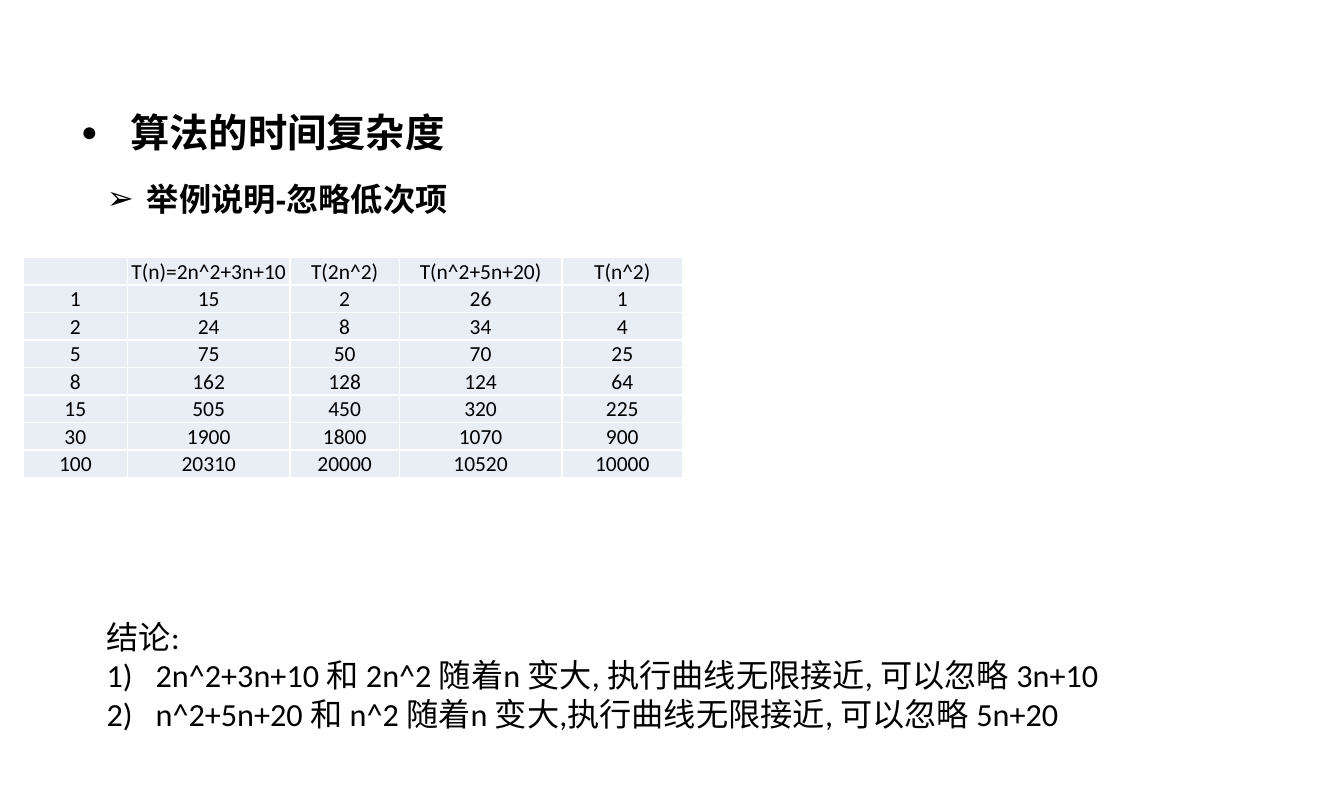
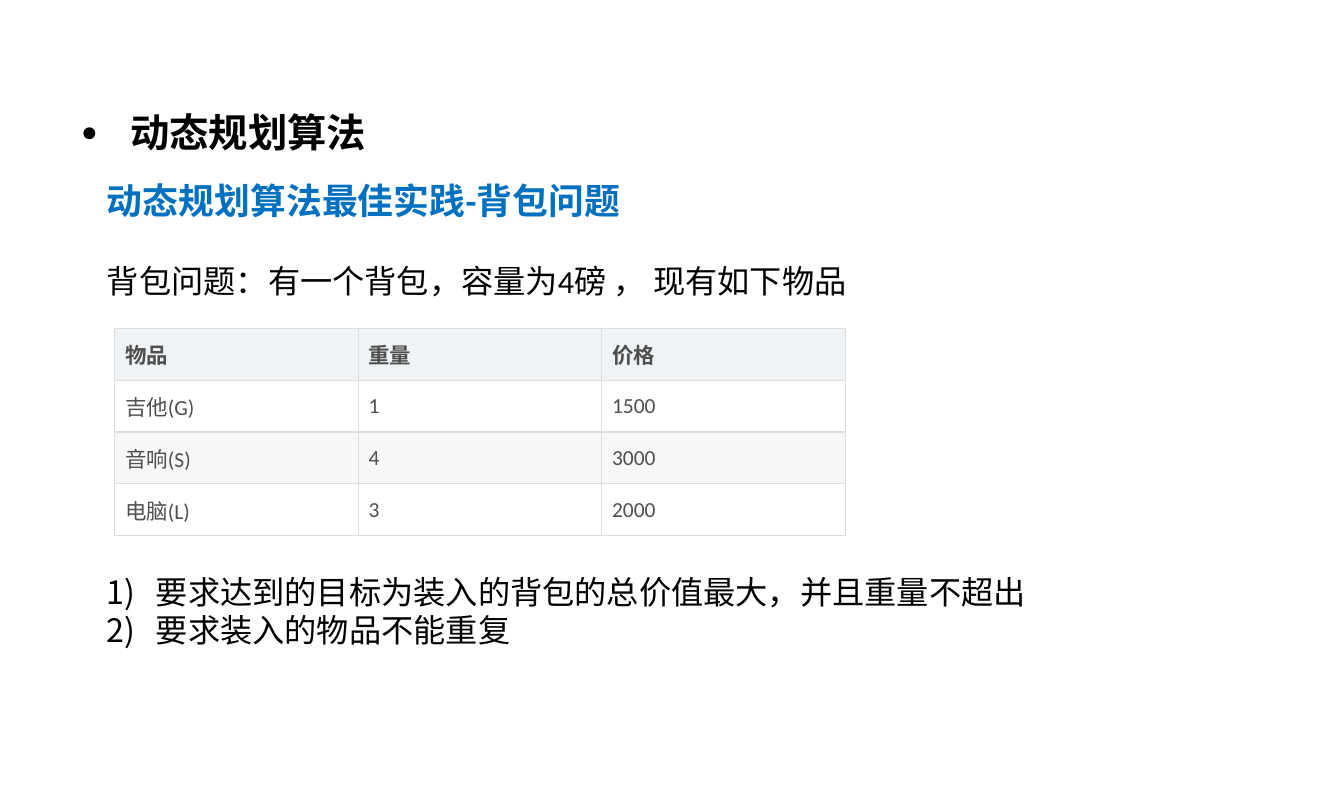
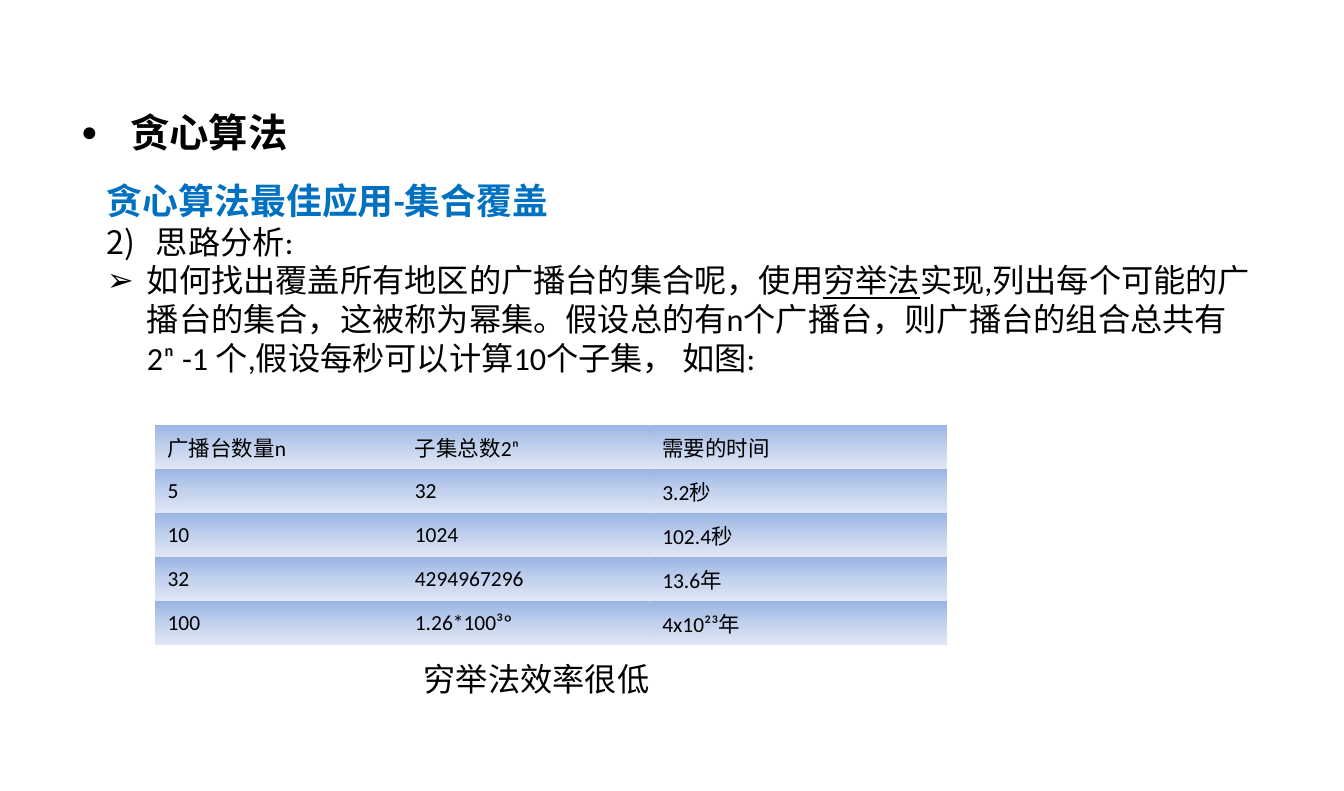
"""Build three slides on algorithms: time complexity, dynamic programming and greedy choice."""
from lxml import etree
from pptx import Presentation
from pptx.dml.color import RGBColor
from pptx.enum.lang import MSO_LANGUAGE_ID
from pptx.enum.text import MSO_ANCHOR, MSO_AUTO_SIZE, PP_ALIGN
from pptx.oxml.ns import qn
from pptx.util import Inches, Pt

LEFT, CENTER = PP_ALIGN.LEFT, PP_ALIGN.CENTER
TOP, MIDDLE = MSO_ANCHOR.TOP, MSO_ANCHOR.MIDDLE
NO_FIT = MSO_AUTO_SIZE.NONE
CHINESE = MSO_LANGUAGE_ID.SIMPLIFIED_CHINESE

BLACK = RGBColor(0, 0, 0)
WHITE = RGBColor(0xFF, 0xFF, 0xFF)
BLUE = RGBColor(0x00, 0x70, 0xC0)
GRAY_TEXT = RGBColor(0x4F, 0x4F, 0x4F)
GRAY_LINE = RGBColor(0xDD, 0xDD, 0xDD)
PALE_BLUE = RGBColor(0xE9, 0xED, 0xF4)
HEADER_GRAY = RGBColor(0xEF, 0xF3, 0xF5)
BAND_GRAY = RGBColor(0xF7, 0xF7, 0xF7)
GRADIENT = [(0, RGBColor(0x9A, 0xB5, 0xE4)), (50, RGBColor(0xC2, 0xD1, 0xED)),
            (100, RGBColor(0xE1, 0xE8, 0xF5))]

SLIDE_SIZE = (10.43, 6.14)
TITLE_AT = (0.53, 0.83, 8.3, 0.43)
BODY_LEFT, BODY_TOP = 0.73, 1.34
NO_STYLE = "{2D5ABB26-0587-4C30-8999-92F81FD0307C}"

DOT = dict(char="●", indent=0.38, percent=70)
ARROW = dict(char="➢", indent=0.31)
NUMBER = dict(start=1, indent=0.38)
SECOND = dict(start=2, indent=0.38)
HEADING = dict(size=20, bold=True, color=BLUE)

SLIDES = [
    dict(
        title="算法的时间复杂度",
        body=dict(size=(8.9, 1.31), lines=[
            ("举例说明-忽略低次项", dict(bullet=ARROW, bold=True, font="Arial"))]),
        note=dict(at=(BODY_LEFT, 4.74, 8.9, 1.01), lines=[
            ("结论:", {}),
            ("2n^2+3n+10 和 2n^2 随着n 变大, 执行曲线无限接近, 可以忽略 3n+10", dict(bullet=NUMBER)),
            ("n^2+5n+20 和 n^2 随着n 变大,执行曲线无限接近, 可以忽略 5n+20", dict(bullet=NUMBER))]),
        table=dict(
            at=(0.18, 2), columns=(0.81, 1.26, 0.85, 1.26, 0.94), row_height=0.21,
            margins=(0.01, 0.01, 0.01, 0), fills=[PALE_BLUE], border=(WHITE, 1),
            text=dict(align=CENTER),
            rows=[("", "T(n)=2n^2+3n+10", "T(2n^2)", "T(n^2+5n+20)", "T(n^2)"),
                  (1, 15, 2, 26, 1),
                  (2, 24, 8, 34, 4),
                  (5, 75, 50, 70, 25),
                  (8, 162, 128, 124, 64),
                  (15, 505, 450, 320, 225),
                  (30, 1900, 1800, 1070, 900),
                  (100, 20310, 20000, 10520, 10000)])),
    dict(
        title="动态规划算法",
        body=dict(size=(9.21, 4.07), lines=[
            ("动态规划算法最佳实践-背包问题", HEADING),
            ("背包问题：有一个背包，容量为4磅 ， 现有如下物品", dict(before=22)),
            ("要求达到的目标为装入的背包的总价值最大，并且重量不超出", dict(bullet=NUMBER, before=152)),
            ("要求装入的物品不能重复", dict(bullet=NUMBER))]),
        table=dict(
            at=(0.89, 2.55), columns=(1.89,) * 3, row_height=0.37,
            margins=(0.08,) * 4, fills=[HEADER_GRAY, WHITE, BAND_GRAY, WHITE],
            border=(GRAY_LINE, 0.75), text=dict(color=GRAY_TEXT), header=dict(bold=True),
            rows=[("物品", "重量", "价格"),
                  ("吉他(G)", 1, 1500),
                  ("音响(S)", 4, 3000),
                  ("电脑(L)", 3, 2000)])),
    dict(
        title="贪心算法",
        body=dict(size=(9.21, 3.77), lines=[
            ("贪心算法最佳应用-集合覆盖", HEADING),
            ("思路分析:", dict(bullet=SECOND)),
            ("如何找出覆盖所有地区的广播台的集合呢，使用_穷举法_实现,列出每个可能的广播台的集合，"
             "这被称为幂集。假设总的有n个广播台，则广播台的组合总共有\n"
             "2ⁿ -1 个,假设每秒可以计算10个子集， 如图:", dict(bullet=ARROW))]),
        table=dict(
            at=(1.2, 3.3), columns=(1.92, 1.92, 2.31), row_height=0.3,
            margins=(0.1, 0.05, 0.1, 0.05), fills=[GRADIENT], text={},
            rows=[("广播台数量n", "子集总数2ⁿ", "需要的时间"),
                  (5, 32, "3.2秒"),
                  (10, 1024, "102.4秒"),
                  (32, 4294967296, "13.6年"),
                  (100, "1.26*100³º", "4x10²³年")]),
        note=dict(at=(3.19, 5.07, 2.34, 0.4), lines=[("穷举法效率很低", {})])),
]


def add_child(parent, tag, **attributes):
    return etree.SubElement(parent, qn(tag), {key: str(value) for key, value in attributes.items()})


def set_bullet(paragraph, bullet):
    properties = paragraph._p.get_or_add_pPr()
    indent = Inches(bullet["indent"]) if bullet else 0
    properties.set("marL", str(indent))
    properties.set("indent", str(-indent))
    if not bullet:
        add_child(properties, "a:buNone")
    elif "start" in bullet:
        add_child(properties, "a:buFont", typeface="+mj-lt")
        add_child(properties, "a:buAutoNum", type="arabicParenR", startAt=bullet["start"])
    else:
        add_child(properties, "a:buSzPct", val=bullet.get("percent", 100) * 1000)
        add_child(properties, "a:buFont", typeface="Arial")
        add_child(properties, "a:buChar", char=bullet["char"])


def write(paragraph, text, size=18, font="Calibri", color=BLACK, bold=False, align=LEFT,
          bullet=None, before=0, spacing=1.0):
    """Fill a paragraph; text between underscores is underlined."""
    set_bullet(paragraph, bullet)
    paragraph.alignment = align
    paragraph.space_before = Pt(before)
    paragraph.line_spacing = spacing
    for index, part in enumerate(text.split("_")):
        for line_index, line in enumerate(part.split("\n")):
            if line_index:
                paragraph.add_line_break()
            if not line:
                continue
            span = paragraph.add_run()
            span.text = line
            span.font.size = Pt(size)
            span.font.name = font
            span.font.bold = bold
            span.font.color.rgb = color
            span.font.underline = index % 2 == 1
            span.font.language_id = CHINESE
    add_child(paragraph._p, "a:endParaRPr", sz=size * 100)


def fill_box(box, at, lines):
    box.left, box.top, box.width, box.height = map(Inches, at)
    frame = box.text_frame
    frame.word_wrap = True
    frame.auto_size = NO_FIT
    frame.vertical_anchor = TOP
    for index, (text, style) in enumerate(lines):
        paragraph = frame.add_paragraph() if index else frame.paragraphs[0]
        write(paragraph, text, **style)


def paint_cell(cell, fill, border):
    properties = cell._tc.get_or_add_tcPr()
    if border:
        color, width = border
        for tag in ("a:lnL", "a:lnR", "a:lnT", "a:lnB"):
            line = add_child(properties, tag, w=Pt(width))
            add_child(add_child(line, "a:solidFill"), "a:srgbClr", val=color)
    if isinstance(fill, list):
        gradient = add_child(properties, "a:gradFill", rotWithShape=1)
        stops = add_child(gradient, "a:gsLst")
        for position, color in fill:
            add_child(add_child(stops, "a:gs", pos=position * 1000), "a:srgbClr", val=color)
        add_child(gradient, "a:lin", ang=90 * 60000, scaled=0)
    else:
        cell.fill.solid()
        cell.fill.fore_color.rgb = fill


def add_grid(slide, at, columns, row_height, margins, fills, text, rows, border=None, header=None):
    size = (sum(columns), row_height * len(rows))
    table = slide.shapes.add_table(len(rows), len(columns), *map(Inches, at + size)).table
    table.first_row = table.horz_banding = False
    table._tbl.tblPr.find(qn("a:tableStyleId")).text = NO_STYLE
    for column, width in zip(table.columns, columns):
        column.width = Inches(width)
    for row_index, values in enumerate(rows):
        table.rows[row_index].height = Inches(row_height)
        style = {"size": 12, **text, **((header or {}) if row_index == 0 else {})}
        for cell, value in zip(table.rows[row_index].cells, values):
            cell.margin_left, cell.margin_top, cell.margin_right, cell.margin_bottom = map(Inches, margins)
            cell.vertical_anchor = MIDDLE
            paint_cell(cell, fills[row_index % len(fills)], border)
            write(cell.text_frame.paragraphs[0], str(value), **style)


def add_slide(deck, content):
    slide = deck.slides.add_slide(deck.slide_layouts[1])
    title_style = dict(size=22, font="Arial", bold=True, bullet=DOT, spacing=0.9)
    fill_box(slide.shapes.title, TITLE_AT, [(content["title"], title_style)])
    body = content["body"]
    fill_box(slide.placeholders[1], (BODY_LEFT, BODY_TOP) + body["size"], body["lines"])
    add_grid(slide, **content["table"])
    if "note" in content:
        note = content["note"]
        fill_box(slide.shapes.add_textbox(*map(Inches, note["at"])), note["at"], note["lines"])


def main():
    deck = Presentation()
    deck.slide_width, deck.slide_height = map(Inches, SLIDE_SIZE)
    for content in SLIDES:
        add_slide(deck, content)
    deck.save("out.pptx")


if __name__ == "__main__":
    main()
